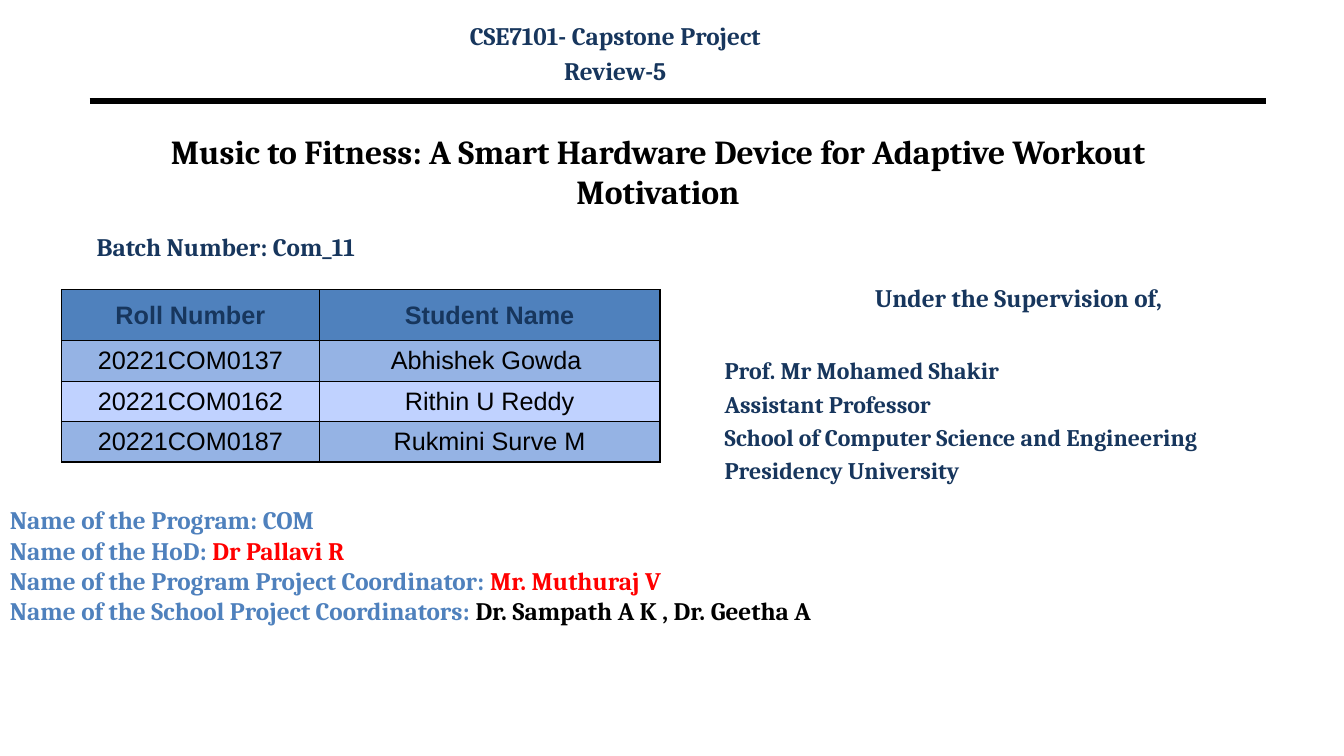
import pptx
import pptx.dml.color
import pptx.enum.shapes
import pptx.enum.text
import pptx.oxml
import pptx.oxml.ns
import pptx.util

Pt = pptx.util.Pt
ALIGN = pptx.enum.text.PP_ALIGN
ANCHOR = pptx.enum.text.MSO_ANCHOR
NAVY, BLUE, RED, BLACK = "17365D", "4F81BD", "FF0000", "000000"
ODD_ROW, EVEN_ROW = "95B3E4", "C0D2FF"

STUDENTS = [
    ("Roll Number", "Student Name"),
    ("20221COM0137", "Abhishek Gowda "),
    ("20221COM0162", "Rithin U Reddy"),
    ("20221COM0187", "Rukmini Surve M"),
]
SUPERVISOR = [
    "Prof. Mr Mohamed Shakir",
    "Assistant Professor",
    "School of Computer Science and Engineering",
    "Presidency University",
]
STAFF = [
    ("Name of the Program: COM", "", BLUE),
    ("Name of the HoD: ", "Dr Pallavi R", RED),
    ("Name of the Program Project Coordinator: ", "Mr. Muthuraj V", RED),
    ("Name of the School Project Coordinators: ",
     "Dr. Sampath A K , Dr. Geetha A", BLACK),
]


def rgb(hex_colour):
    return pptx.dml.color.RGBColor.from_string(hex_colour)


def set_attributes(target, values):
    for name, value in values.items():
        setattr(target, name, value)


def line(runs, size=18, align=ALIGN.LEFT, before=0):
    """Describe one paragraph; runs are (text, colour) pairs."""
    return {"runs": runs, "size": size, "align": align, "before": before}


def write_lines(frame, lines, face="Cambria", bold=True):
    for index, entry in enumerate(lines):
        paragraph = frame.paragraphs[0] if index == 0 else frame.add_paragraph()
        set_attributes(paragraph, {"alignment": entry["align"],
                                   "space_before": Pt(entry["before"])})
        for text, colour in entry["runs"]:
            run = paragraph.add_run()
            run.text = text
            set_attributes(run.font, {"name": face, "size": Pt(entry["size"]),
                                      "bold": bold})
            run.font.color.rgb = rgb(colour)


def add_text(slide, box, lines):
    frame = slide.shapes.add_textbox(*map(Pt, box)).text_frame
    frame.word_wrap = True
    write_lines(frame, lines)


def set_title(slide, box, text):
    title = slide.shapes.title
    set_attributes(title, dict(zip(("left", "top", "width", "height"),
                                   map(Pt, box))))
    set_attributes(title.text_frame, {"word_wrap": True,
                                      "vertical_anchor": ANCHOR.MIDDLE})
    write_lines(title.text_frame, [line([(text, BLACK)], 24, ALIGN.CENTER)])


def add_rule(slide, left, right, y):
    rule = slide.shapes.add_connector(
        pptx.enum.shapes.MSO_CONNECTOR.STRAIGHT,
        Pt(left), Pt(y), Pt(right), Pt(y))
    rule.line.width = Pt(4.5)
    rule.line.color.rgb = rgb(BLACK)
    rule._element.spPr.append(pptx.oxml.parse_xml(
        f"<a:effectLst {pptx.oxml.ns.nsdecls('a')}/>"))


def add_borders(cell):
    properties = cell._tc.get_or_add_tcPr()
    for side in "LRTB":
        properties.append(pptx.oxml.parse_xml(
            f'<a:ln{side} {pptx.oxml.ns.nsdecls("a")} w="{Pt(1)}"><a:solidFill>'
            f'<a:srgbClr val="{BLACK}"/></a:solidFill></a:ln{side}>'))


def add_student_table(slide, left, top, widths, heights):
    table = slide.shapes.add_table(
        len(heights), len(widths), Pt(left), Pt(top),
        Pt(sum(widths)), Pt(sum(heights))).table
    for column, width in zip(table.columns, widths):
        column.width = Pt(width)
    for row_index, (row, height) in enumerate(zip(table.rows, heights)):
        row.height = Pt(height)
        header = row_index == 0
        fill = BLUE if header else (ODD_ROW if row_index % 2 else EVEN_ROW)
        for cell, text in zip(row.cells, STUDENTS[row_index]):
            add_borders(cell)
            cell.fill.solid()
            cell.fill.fore_color.rgb = rgb(fill)
            cell.vertical_anchor = ANCHOR.MIDDLE
            colour = NAVY if header else BLACK
            write_lines(cell.text_frame,
                        [line([(text, colour)], align=ALIGN.CENTER)],
                        "Arial", header)


def main():
    deck = pptx.Presentation()
    set_attributes(deck, {"slide_width": Pt(960), "slide_height": Pt(540)})
    slide = deck.slides.add_slide(deck.slide_layouts[5])

    add_rule(slide, 64, 904.5, 72)
    set_title(slide, (62, 84, 816, 76),
              "Music to Fitness: A Smart Hardware Device for "
              "Adaptive Workout Motivation")
    add_text(slide, (62, 161.5, 346, 43),
             [line([("Batch Number: Com_11", NAVY)])])

    supervision = [line([("Under the Supervision of,", NAVY)],
                        align=ALIGN.CENTER)]
    supervision += [line([(text, NAVY)], 17, before=3.4 if index else 31.2)
                    for index, text in enumerate(SUPERVISOR)]
    add_text(slide, (510.5, 198, 434, 159), supervision)

    add_student_table(slide, 44, 207, (184, 243.5), (36.5, 27.5, 27.5, 27.5))
    add_text(slide, (223, 11, 433, 58), [
        line([("CSE7101- Capstone Project", NAVY)], align=ALIGN.CENTER),
        line([("Review-5", NAVY)], align=ALIGN.CENTER, before=3.1),
    ])
    add_text(slide, (0, 357, 960, 123), [
        line([(role, BLUE)] + ([(person, colour)] if person else []))
        for role, person, colour in STAFF
    ])
    deck.save("out.pptx")


if __name__ == "__main__":
    main()
